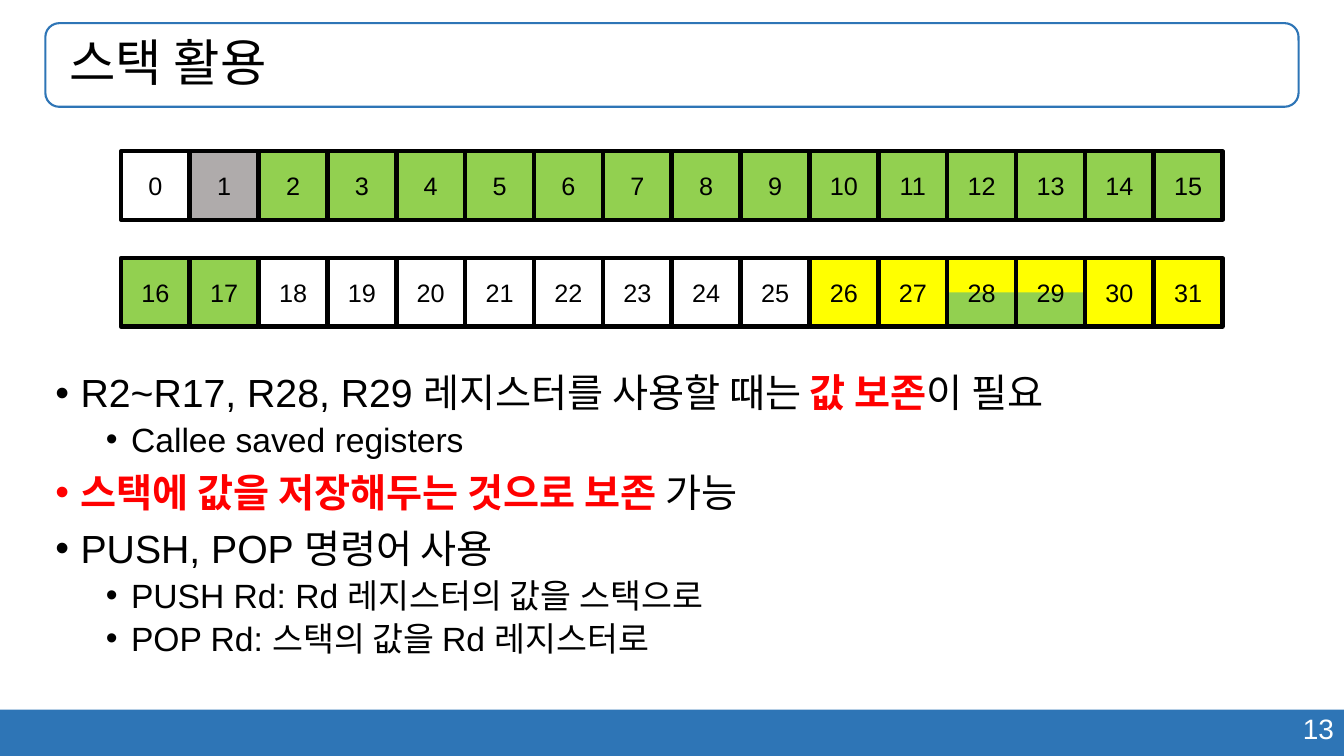
from pptx import Presentation, util as u
from pptx.dml.color import RGBColor
from pptx.enum import shapes, text
from lxml import etree

BLUE = RGBColor(0x2E, 0x75, 0xB6)
GREEN = RGBColor(0x92, 0xD0, 0x50)
YELLOW = RGBColor(0xFF, 0xFF, 0x00)
GRAY = RGBColor(0xAF, 0xAB, 0xAB)
RED = RGBColor(0xFF, 0x00, 0x00)
BLACK = RGBColor(0x00, 0x00, 0x00)
WHITE = RGBColor(0xFF, 0xFF, 0xFF)

prs = Presentation()
prs.slide_width, prs.slide_height = u.Inches(13.33), u.Inches(7.5)
s = prs.slides.add_slide(prs.slide_layouts[1])


def write(p, content, size=18, color=BLACK, bold=False):
    r = p.add_run()
    r.text = content
    r.font.name, r.font.size = "Arial", u.Pt(size)
    r.font.color.rgb, r.font.bold = color, bold


def box(x, y, w, h, fill=None, line=None, weight=3, kind=shapes.MSO_SHAPE.RECTANGLE):
    sp = s.shapes.add_shape(kind, *map(u.Inches, (x, y, w, h)))
    sp.shadow.inherit = False
    if fill is None:
        sp.fill.background()
    else:
        sp.fill.solid()
        sp.fill.fore_color.rgb = fill
    if line is None:
        sp.line.fill.background()
    else:
        sp.line.color.rgb, sp.line.width = line, u.Pt(weight)
    return sp


# Footer bar with the page number
box(0, 7.04, 13.33, 0.46, BLUE)
number = s.shapes.add_textbox(*map(u.Inches, (9.43, 7.01, 3.9, 0.44)))
number.text_frame.word_wrap = True
p = number.text_frame.paragraphs[0]
p.alignment = text.PP_ALIGN.RIGHT
write(p, "13", 20, WHITE)

# Title in its rounded frame
frame = 0.45, 0.23, 12.43, 0.83
box(*frame, line=BLUE, weight=1.5, kind=shapes.MSO_SHAPE.ROUNDED_RECTANGLE)
title, body = s.shapes.title, s.placeholders[1]
for ph, place in ((title, frame), (body, (0.45, 3.44, 12.43, 3.36))):
    ph.left, ph.top, ph.width, ph.height = map(u.Inches, place)
    ph.text_frame.vertical_anchor = text.MSO_ANCHOR.MIDDLE
    ph.text_frame.auto_size = text.MSO_AUTO_SIZE.NONE
    ph.text_frame.word_wrap = True
title.text_frame.margin_left = u.Inches(0.24)
p = title.text_frame.paragraphs[0]
p.alignment, p.line_spacing = text.PP_ALIGN.LEFT, 0.9
write(p, "스택 활용", 36)

# Registers: two rows of sixteen cells
COLUMNS, LEFT, TOP, CELL = 16, 1.2, 1.5, 0.68
COLUMN_STEP, ROW_STEP = 0.683, 1.06
fills = {1: GRAY}
fills.update({n: GREEN for n in range(2, 18)})
fills.update({n: YELLOW for n in range(26, 32)})
half_green = 28, 29
for n in range(2 * COLUMNS):
    row, column = divmod(n, COLUMNS)
    x, y = LEFT + column * COLUMN_STEP, TOP + row * ROW_STEP
    sp = box(x, y, CELL, CELL, fills.get(n), BLACK)
    if n in half_green:
        box(x, y + CELL / 2, CELL, CELL / 2, GREEN)
        sp = box(x, y, CELL, CELL, line=BLACK)
    tf = sp.text_frame
    tf.vertical_anchor = text.MSO_ANCHOR.MIDDLE
    p = tf.paragraphs[0]
    p.alignment = text.PP_ALIGN.CENTER
    write(p, str(n))

# Bullet list: level, then runs of text and colour
bullets = [
    (0, [("R2~R17, R28, R29 레지스터를 사용할 때는 ", BLACK), ("값 보존", RED), ("이 필요", BLACK)]),
    (1, [("Callee saved registers", BLACK)]),
    (0, [("스택에 값을 저장해두는 것으로 보존", RED), (" 가능", BLACK)]),
    (0, [("PUSH, POP 명령어 사용", BLACK)]),
    (1, [("PUSH Rd: Rd 레지스터의 값을 스택으로", BLACK)]),
    (1, [("POP Rd: 스택의 값을 Rd 레지스터로", BLACK)]),
]
tf = body.text_frame
for i, (level, runs) in enumerate(bullets):
    p = tf.add_paragraph() if i else tf.paragraphs[0]
    pPr = p._p.get_or_add_pPr()
    pPr.set("marL", str(u.Inches(0.25 + 0.5 * level)))
    pPr.set("indent", str(u.Inches(-0.25)))
    ns = pPr.nsmap["a"]
    etree.SubElement(pPr, f"{{{ns}}}buFont", typeface="Arial")
    etree.SubElement(pPr, f"{{{ns}}}buChar", char="•")
    p.level, p.line_spacing = level, 0.9
    p.space_before = u.Pt((10 - 5 * level) if i else 0)
    for content, color in runs:
        write(p, content, 28 - 4 * level, color, bold=color == RED)

prs.save("out.pptx")
